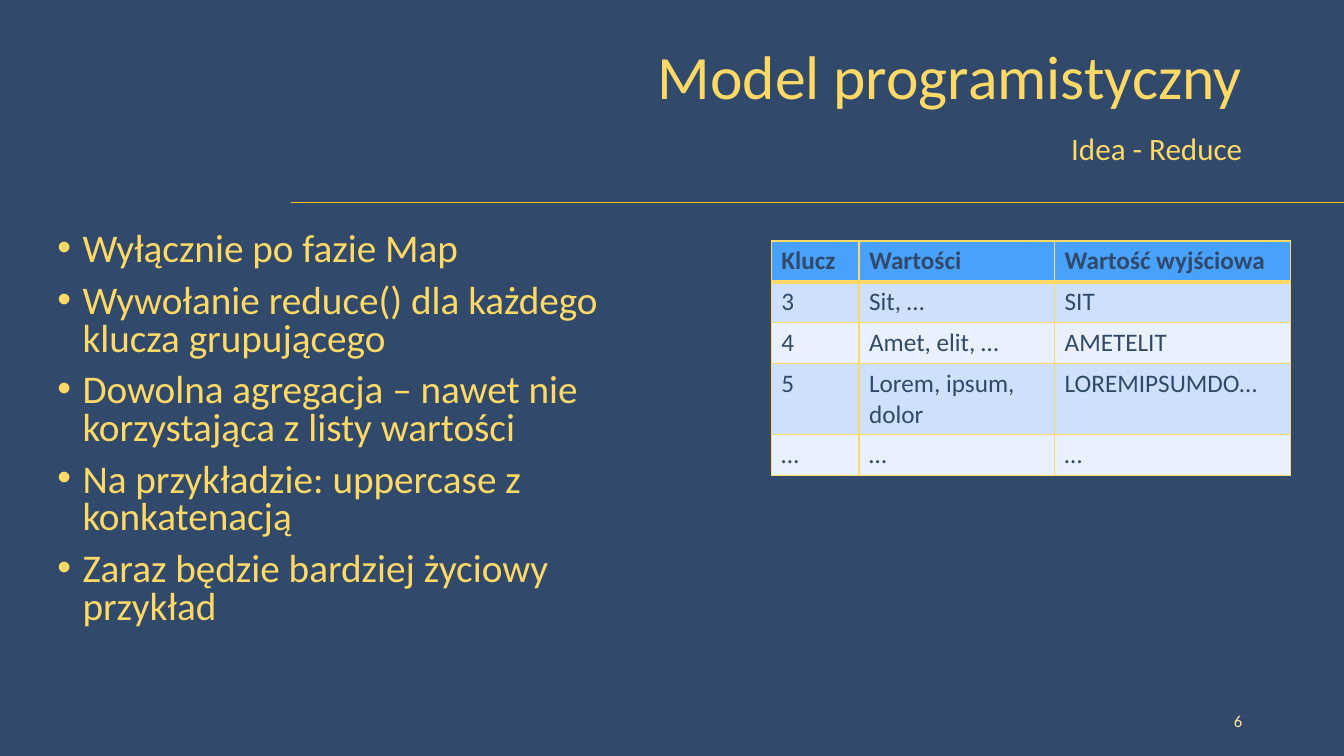
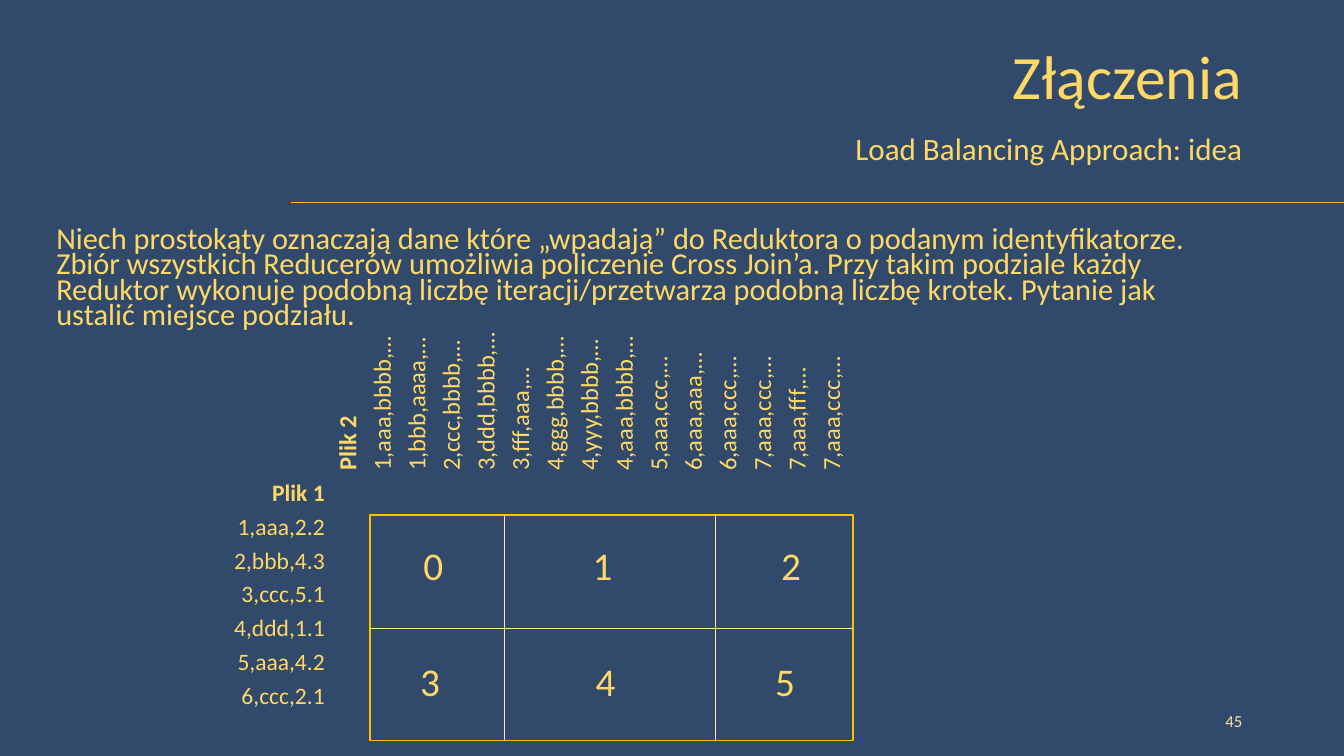
from lxml.etree import SubElement
from pptx import Presentation
from pptx.dml.color import RGBColor
from pptx.enum.shapes import MSO_CONNECTOR, MSO_SHAPE
from pptx.enum.text import MSO_ANCHOR as Anchor, PP_ALIGN as Align
from pptx.oxml.ns import qn
from pptx.util import Inches, Pt

NAVY = RGBColor(0x31, 0x49, 0x6B)
YELLOW = RGBColor(0xFF, 0xD9, 0x65)
PALE_YELLOW = RGBColor(0xFF, 0xE3, 0x9F)
DIVIDER = RGBColor(0xFF, 0xE8, 0xA3)
GOLD = RGBColor(0xFF, 0xC0, 0x00)
HEADER_BLUE = RGBColor(0x48, 0xA1, 0xFA)
BAND_DARK = RGBColor(0xCF, 0xE0, 0xFD)
BAND_LIGHT = RGBColor(0xE9, 0xF0, 0xFE)

FONT = "Calibri"
WIDTH, HEIGHT = Inches(13.333), Inches(7.5)
TITLE_LEFT, TITLE_WIDTH = 21.68, 71.49
RULE_Y = 26.8

STEPS = [
    "Wyłącznie po fazie Map",
    "Wywołanie reduce() dla każdego klucza grupującego",
    "Dowolna agregacja – nawet nie korzystająca z listy wartości",
    "Na przykładzie: uppercase z konkatenacją",
    "Zaraz będzie bardziej życiowy przykład",
]
REDUCE_ROWS = [
    ("Klucz", "Wartości", "Wartość wyjściowa"),
    ("3", "Sit, …", "SIT"),
    ("4", "Amet, elit, …", "AMETELIT"),
    ("5", "Lorem, ipsum, dolor", "LOREMIPSUMDO…"),
    ("…", "…", "…"),
]
JOIN_INTRO = (
    "Niech prostokąty oznaczają dane które „wpadają” do Reduktora o podanym "
    "identyfikatorze. Zbiór wszystkich Reducerów umożliwia policzenie Cross "
    "Join’a. Przy takim podziale każdy Reduktor wykonuje podobną liczbę "
    "iteracji/przetwarza podobną liczbę krotek. Pytanie jak ustalić miejsce "
    "podziału."
)
FILE_1 = ["Plik 1", "1,aaa,2.2", "2,bbb,4.3", "3,ccc,5.1", "4,ddd,1.1",
          "5,aaa,4.2", "6,ccc,2.1"]
FILE_2 = ["Plik 2", "1,aaa,bbbb,…", "1,bbb,aaaa,…", "2,ccc,bbbb,…",
          "3,ddd,bbbb,…", "3,fff,aaa,…", "4,ggg,bbbb,…", "4,yyy,bbbb,…",
          "4,aaa,bbbb,…", "5,aaa,ccc,…", "6,aaa,aaa,…", "6,aaa,ccc,…",
          "7,aaa,ccc,…", "7,aaa,fff,…", "7,aaa,ccc,…"]


def across(percent):
    return round(WIDTH * percent / 100)


def down(percent):
    return round(HEIGHT * percent / 100)


def place(left, top, width, height):
    """Turn percentages of the slide into a frame in EMU."""
    return across(left), down(top), across(width), down(height)


def style_font(font, size, color, bold=False):
    font.name, font.size, font.bold = FONT, Pt(size), bold
    font.color.rgb = color


def add_bullet(paragraph):
    properties = paragraph._p.get_or_add_pPr()
    properties.set("marL", str(Inches(0.25)))
    properties.set("indent", str(-Inches(0.25)))
    SubElement(properties, qn("a:buFont"), typeface="Arial")
    SubElement(properties, qn("a:buChar"), char="•")


def add_text(slide, frame, lines, size, spacing=0.8, before=10, color=YELLOW,
             align=Align.LEFT, anchor=Anchor.TOP, bullets=False, heading=False):
    """Add one paragraph per line; heading makes the first one bold."""
    box = slide.shapes.add_textbox(*place(*frame))
    text_frame = box.text_frame
    text_frame.word_wrap = True
    text_frame.vertical_anchor = anchor
    text_frame.text = "\n".join(lines)
    for index, paragraph in enumerate(text_frame.paragraphs):
        paragraph.alignment = align
        paragraph.line_spacing = spacing
        paragraph.space_before = Pt(before)
        if bullets:
            add_bullet(paragraph)
        style_font(paragraph.runs[0].font, size, color, heading and index == 0)
    return box


def add_line(slide, start, end, color, weight):
    line = slide.shapes.add_connector(
        MSO_CONNECTOR.STRAIGHT, across(start[0]), down(start[1]),
        across(end[0]), down(end[1]))
    line.line.color.rgb = color
    line.line.width = Pt(weight)
    SubElement(line._element.spPr, qn("a:effectLst"))
    return line


def add_base_slide(prs, title, subtitle, number):
    """Add a slide with the shared rule, titles and slide number."""
    slide = prs.slides.add_slide(prs.slide_layouts[6])
    add_line(slide, (TITLE_LEFT, RULE_Y), (100, RULE_Y), GOLD, 1)
    add_text(slide, (TITLE_LEFT, 5.33, TITLE_WIDTH, 10.4), [title], 44,
             spacing=0.9, before=0, align=Align.RIGHT, anchor=Anchor.MIDDLE)
    add_text(slide, (TITLE_LEFT, 17.47, TITLE_WIDTH, 5.6), [subtitle], 22.2,
             align=Align.RIGHT)
    add_text(slide, (70.67, 92.67, 22.5, 5.33), [number], 12, spacing=1.0,
             before=0, color=PALE_YELLOW, align=Align.RIGHT,
             anchor=Anchor.MIDDLE)
    return slide


def set_borders(cell, weights):
    """Draw the cell's sides; weights maps L, R, T, B to points."""
    properties = cell._tc.get_or_add_tcPr()
    for side, weight in weights.items():
        border = SubElement(properties, qn(f"a:ln{side}"), w=str(Pt(weight)))
        fill = SubElement(border, qn("a:solidFill"))
        SubElement(fill, qn("a:srgbClr"), val=str(YELLOW))


def add_reduce_table(slide, left, top, column_widths, row_height):
    frame = place(left, top, sum(column_widths), row_height * len(REDUCE_ROWS))
    table = slide.shapes.add_table(
        len(REDUCE_ROWS), len(column_widths), *frame).table
    for column, width in zip(table.columns, column_widths):
        column.width = across(width)
    for r, row in enumerate(REDUCE_ROWS):
        is_header = r == 0
        band = HEADER_BLUE if is_header else (BAND_LIGHT, BAND_DARK)[r % 2]
        for c, value in enumerate(row):
            cell = table.cell(r, c)
            set_borders(cell, {"L": 1, "R": 1, "T": 3 if r == 1 else 1,
                               "B": 3 if is_header else 1})
            cell.fill.solid()
            cell.fill.fore_color.rgb = band
            cell.text_frame.text = value
            style_font(cell.text_frame.paragraphs[0].runs[0].font, 18, NAVY,
                       is_header)


def add_reducer_grid(slide, left, top, width, height):
    """Draw the join area split into six numbered reducers."""
    area = slide.shapes.add_shape(
        MSO_SHAPE.RECTANGLE, *place(left, top, width, height))
    area.shadow.inherit = False
    area.fill.solid()
    area.fill.fore_color.rgb = NAVY
    area.line.color.rgb = GOLD
    area.line.width = Pt(1)
    for x in (37.51, 53.19):
        add_line(slide, (x, top), (x, top + height), DIVIDER, 0.5)
    middle = top + height / 2
    split = add_line(slide, (left, middle), (left + width, middle), DIVIDER, 0.5)
    split.begin_connect(area, 1)
    split.end_connect(area, 3)

    label_rows = [(72.13, (30.76, 43.36, 57.39)), (87.47, (30.53, 43.59, 56.94))]
    positions = [(x, y) for y, lefts in label_rows for x in lefts]
    for reducer, (x, y) in enumerate(positions):
        add_text(slide, (x, y, 3.3, 6.8), [str(reducer)], 28)


def build_reduce_slide(prs):
    slide = add_base_slide(prs, "Model programistyczny", "Idea - Reduce", "6")
    add_text(slide, (3.53, 30.13, 44.86, 57.73), STEPS, 28, bullets=True)
    add_reduce_table(slide, 57.39, 31.87, (6.53, 14.55, 17.55), 5.42)


def build_join_slide(prs):
    slide = add_base_slide(prs, "Złączenia", "Load Balancing Approach: idea", "45")
    add_text(slide, (14.55, 63.6, 10.35, 34.4), FILE_1, 16.8, spacing=0.7,
             align=Align.RIGHT, heading=True)
    add_text(slide, (3.45, 29.6, 89.65, 15.2), [JOIN_INTRO], 21.7, spacing=0.7)
    file_2 = add_text(slide, (45.39, 5.2, 12.38, 94.8), FILE_2, 17.5,
                      spacing=0.7, heading=True)
    file_2.rotation = 270
    add_reducer_grid(slide, 27.53, 68.13, 35.93, 29.87)


def main():
    prs = Presentation()
    prs.slide_width, prs.slide_height = WIDTH, HEIGHT
    background = prs.slide_master.background.fill
    background.solid()
    background.fore_color.rgb = NAVY
    build_reduce_slide(prs)
    build_join_slide(prs)
    prs.save("out.pptx")


if __name__ == "__main__":
    main()
